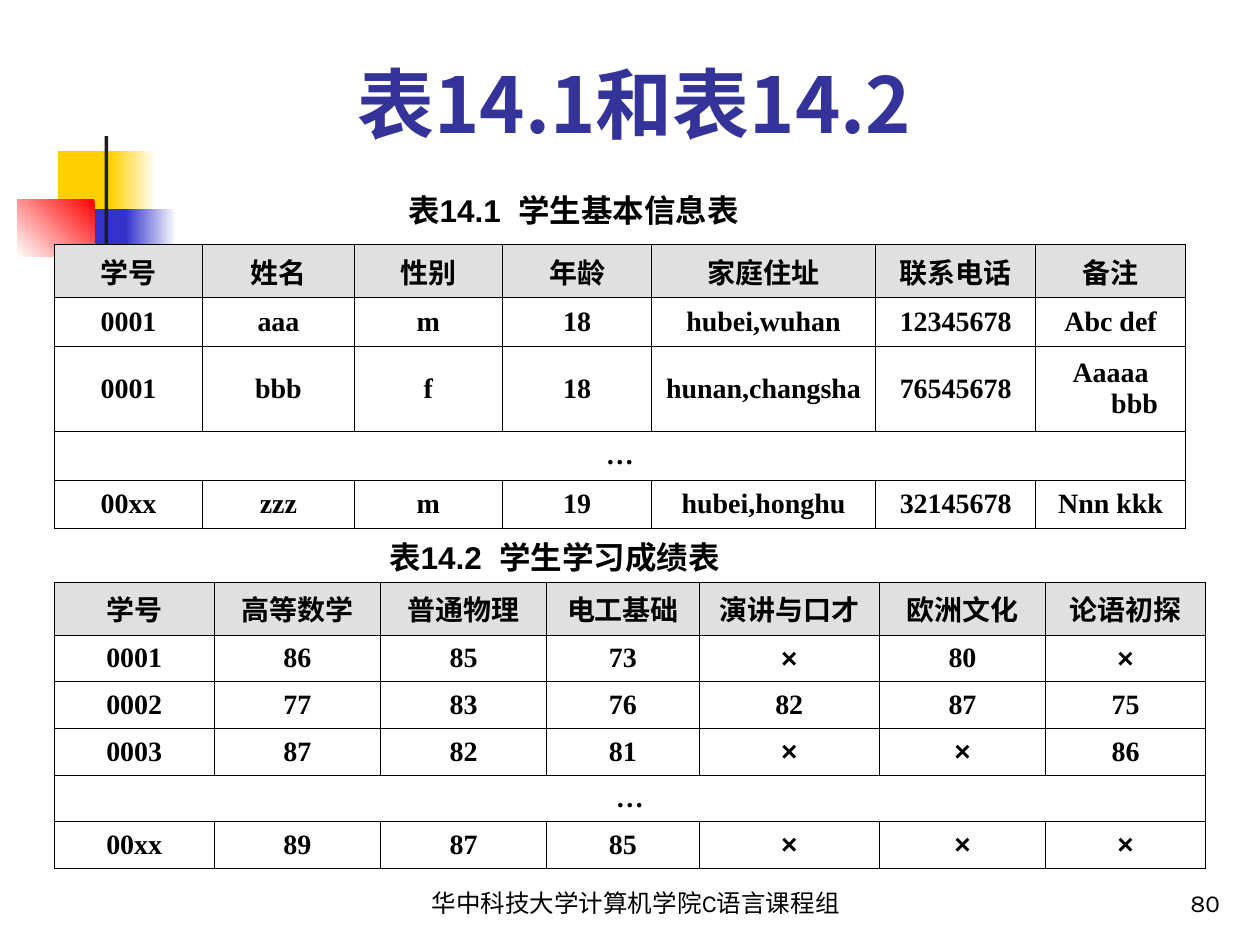
from lxml import etree
from pptx import Presentation
from pptx.dml.color import RGBColor
from pptx.enum import shapes, text
from pptx.oxml import ns
from pptx.util import Inches, Pt

CJK, SANS, SERIF, FOOT = "Noto Sans CJK SC", "Arial", "Times New Roman", "Karla"
LEFT, CENTER, RIGHT = text.PP_ALIGN.LEFT, text.PP_ALIGN.CENTER, text.PP_ALIGN.RIGHT
TOP, BOTTOM = text.MSO_ANCHOR.TOP, text.MSO_ANCHOR.BOTTOM
BLACK, GRAY, NAVY = "000000", "E0E0E0", "333399"
WHITE, GOLD, BLUE, RED, DARK = "FFFFFF", "FFCF01", "3333CC", "FF0000", "1C1C1C"

title = ("表14.1和表14.2", (0.35, 0.23, 9.37, 1))
decor = [
    ((0.46, 1.2, 0.48, 0.52), [GOLD], 0),
    ((0.88, 1.2, 0.36, 0.52), [WHITE, GOLD], 180),
    ((0.59, 1.66, 0.46, 0.52), [BLUE], 0),
    ((1, 1.66, 0.4, 0.52), [WHITE, BLUE], 180),
    ((0.14, 1.58, 0.61, 0.46), [RED, WHITE], 225),
    ((0.83, 1.08, 0.03, 1.15), [DARK], 0),
    ((0.48, 1.95, 9, 0.03), [WHITE, DARK], 180),
]
labels = [
    ("表14.1  学生基本信息表", (3.14, 1.47, 3, 0.4), 18, SANS, True, LEFT, TOP),
    ("表14.2  学生学习成绩表", (2.99, 4.22, 3, 0.4), 18, SANS, True, LEFT, TOP),
    ("华中科技大学计算机学院C语言课程组", (2.72, 6.83, 4.65, 0.5), 14, FOOT, False, CENTER, BOTTOM),
    ("80", (7.7, 6.83, 2.08, 0.5), 14, FOOT, False, RIGHT, BOTTOM),
]
people = [
    ["学号", "姓名", "性别", "年龄", "家庭住址", "联系电话", "备注"],
    ["0001", "aaa", "m", "18", "hubei,wuhan", "12345678", "Abc def"],
    ["0001", "bbb", "f", "18", "hunan,changsha", "76545678", "Aaaaa bbb"],
    ["…"],
    ["00xx", "zzz", "m", "19", "hubei,honghu", "32145678", "Nnn kkk"],
]
scores = [
    ["学号", "高等数学", "普通物理", "电工基础", "演讲与口才", "欧洲文化", "论语初探"],
    ["0001", "86", "85", "73", "×", "80", "×"],
    ["0002", "77", "83", "76", "82", "87", "75"],
    ["0003", "87", "82", "81", "×", "×", "86"],
    ["…"],
    ["00xx", "89", "87", "85", "×", "×", "×"],
]
tables = [
    (people, 1.94, [1.18, 1.2, 1.18, 1.18, 1.78, 1.27, 1.19], [0.39, 0.39, 0.67, 0.39, 0.38]),
    (scores, 4.62, [1.27, 1.32, 1.32, 1.21, 1.43, 1.32, 1.27], [0.37] * 6),
]


def color(code):
    return RGBColor.from_string(code)


def inches(box):
    return [Inches(n) for n in box]


def write(frame, words, size, face, bold, align, ink=BLACK):
    para = frame.paragraphs[0]
    para.text = words
    para.alignment = align
    font = para.font
    font.size, font.name, font.bold = Pt(size), face, bold
    font.color.rgb = color(ink)
    props = para._p.get_or_add_pPr()
    east = etree.SubElement(props.find(ns.qn("a:defRPr")), ns.qn("a:ea"))
    east.set("typeface", CJK)
    return props


def border(cell):
    props = cell._tc.get_or_add_tcPr()
    for spot, side in enumerate(("lnL", "lnR", "lnT", "lnB")):
        line = etree.Element(ns.qn("a:" + side), w=str(Pt(0.45)))
        fill = etree.SubElement(line, ns.qn("a:solidFill"))
        etree.SubElement(fill, ns.qn("a:srgbClr"), val=BLACK)
        props.insert(spot, line)


def paint(slide, box, hues, angle):
    shape = slide.shapes.add_shape(shapes.MSO_SHAPE.RECTANGLE, *inches(box))
    shape.shadow.inherit = False
    shape.line.fill.background()
    if len(hues) == 1:
        shape.fill.solid()
        shape.fill.fore_color.rgb = color(hues[0])
        return
    shape.fill.gradient()
    shape.fill.gradient_angle = angle
    for stop, hue, place in zip(shape.fill.gradient_stops, hues, (0, 1)):
        stop.color.rgb = color(hue)
        stop.position = place


def label(slide, words, box, size, face, bold, align, anchor):
    frame = slide.shapes.add_textbox(*inches(box)).text_frame
    frame.word_wrap = anchor == BOTTOM
    frame.vertical_anchor = anchor
    write(frame, words, size, face, bold, align)


def grid(slide, rows, top, widths, heights):
    box = (0.43, top, sum(widths), sum(heights))
    table = slide.shapes.add_table(len(rows), len(widths), *inches(box)).table
    table.first_row = table.horz_banding = False
    for col, width in zip(table.columns, widths):
        col.width = Inches(width)
    for r, (row, height) in enumerate(zip(rows, heights)):
        table.rows[r].height = Inches(height)
        for c in range(len(widths)):
            cell = table.cell(r, c)
            if r == 0:
                cell.fill.solid()
                cell.fill.fore_color.rgb = color(GRAY)
            else:
                cell.fill.background()
            border(cell)
        if len(row) == 1:
            table.cell(r, 0).merge(table.cell(r, len(widths) - 1))
        for c, words in enumerate(row):
            cell = table.cell(r, c)
            cell.vertical_anchor = text.MSO_ANCHOR.MIDDLE
            face = SANS if r == 0 or words == "×" else SERIF
            props = write(cell.text_frame, words, 16, face, True, CENTER)
            props.set("marL", str(Inches(0.38)))
            props.set("indent", str(Inches(-0.38)))


def main():
    deck = Presentation()
    deck.slide_width, deck.slide_height = Inches(10), Inches(7.5)
    slide = deck.slides.add_slide(deck.slide_layouts[5])
    for item in decor:
        paint(slide, *item)
    words, box = title
    head = slide.shapes.title
    head.left, head.top, head.width, head.height = inches(box)
    head.text_frame.vertical_anchor = BOTTOM
    write(head.text_frame, words, 44, CJK, True, CENTER, NAVY)
    for item in tables:
        grid(slide, *item)
    for item in labels:
        label(slide, *item)
    deck.save("out.pptx")


if __name__ == "__main__":
    main()
